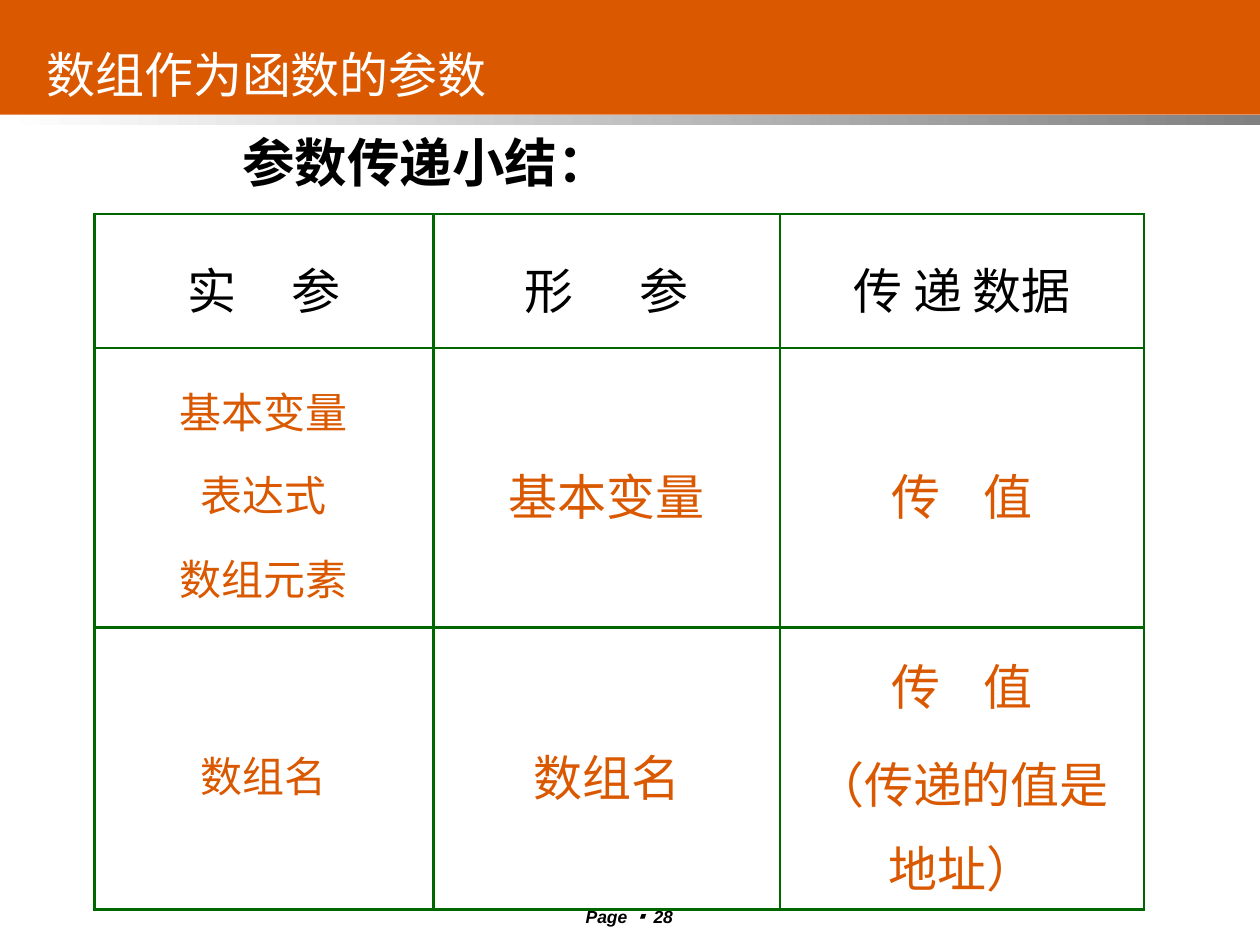
from lxml import etree
from pptx import Presentation
from pptx.dml.color import RGBColor
from pptx.enum import shapes, text
from pptx.oxml.ns import qn
from pptx.util import Inches, Pt

COLORS = {"orange": "DA5800", "gray": "808080", "white": "FFFFFF",
          "black": "000000", "green": "006600"}
CJK = "Noto Sans CJK JP"
SPACE = 0.224  # width of one space in the CJK font, in ems


def rgb(name):
    return RGBColor.from_string(COLORS[name])


def write(tf, lines, size=28, color="black", font=CJK, bold=False, italic=False,
          align=text.PP_ALIGN.CENTER, anchor=text.MSO_ANCHOR.MIDDLE,
          line=None, before=None, gap=1):
    """Fill a text frame; each line is a list of (text, font) runs or a string.

    In a string, every space is stretched to the width of `gap` spaces.
    """
    tf.word_wrap = True
    tf.vertical_anchor = anchor
    for i, content in enumerate(lines):
        p = tf.paragraphs[0] if i == 0 else tf.add_paragraph()
        p.alignment = align
        if line:
            p.line_spacing = line
        if before:
            p.space_before = Pt(before)
        if isinstance(content, str):
            parts = content.split(" ") if gap > 1 else [content]
            content = [(parts[0], font)]
            for part in parts[1:]:
                content += [(" ", font), (part, font)]
        for words, face in content:
            r = p.add_run()
            r.text = words
            f = r.font
            f.size, f.bold, f.italic, f.name = Pt(size), bold, italic, face
            f.color.rgb = rgb(color)
            rpr = r._r.get_or_add_rPr()
            if words == " ":
                rpr.set("spc", str(round((gap - 1) * SPACE * size * 100)))
            ea = etree.SubElement(rpr, qn("a:ea"))
            ea.set("typeface", CJK)


prs = Presentation()
prs.slide_width, prs.slide_height = Inches(10), Inches(7.5)
s = prs.slides.add_slide(prs.slide_layouts[6])

# Header band and the gradient strip under it
for top, height in ((0, 0.91), (0.91, 0.08)):
    sp = s.shapes.add_shape(shapes.MSO_SHAPE.RECTANGLE, 0, Inches(top),
                            Inches(10.04), Inches(height))
    sp.shadow.inherit = False
    sp.line.fill.background()
    if top == 0:
        sp.fill.solid()
        sp.fill.fore_color.rgb = rgb("orange")
    else:
        sp.fill.gradient()
        sp.fill.gradient_angle = 180
        for stop, name in zip(sp.fill.gradient_stops, ("gray", "white")):
            stop.color.rgb = rgb(name)

# Page number, subtitle and header text
page = [("Page ", "Arial"), ("▪ ", CJK), ("28", "Arial")]
boxes = [
    ((4.21, 7.14, 1.57, 0.22), page,
     dict(size=10, bold=True, italic=True, anchor=text.MSO_ANCHOR.TOP)),
    ((0.67, 0.91, 5.42, 0.75), "参数传递小结：",
     dict(size=30, bold=True, font="Courier New")),
    ((0.27, 0.21, 6.9, 0.75), "数组作为函数的参数",
     dict(color="white", align=text.PP_ALIGN.JUSTIFY)),
]
for box, content, style in boxes:
    tf = s.shapes.add_textbox(*map(Inches, box)).text_frame
    write(tf, [content], **style)

# Table of arguments, parameters and what is passed: (lines, gap in spaces)
rows = [
    [(["实 参"], 5), (["形 参"], 6), (["传 递 数据"], 1)],
    [(["基本变量", "表达式", "数组元素"], 1), (["基本变量"], 1), (["传 值"], 4)],
    [(["数组名"], 1), (["数组名"], 1), (["传 值", "（传递的值是地址）"], 4)],
]
frame = s.shapes.add_table(3, 3, Inches(0.75), Inches(1.7), Inches(8.33), Inches(5.52))
table = frame.table
table.first_row = table.horz_banding = False
for col, width in zip(table.columns, (2.69, 2.75, 2.89)):
    col.width = Inches(width)
for row, height in zip(table.rows, (1.06, 2.22, 2.24)):
    row.height = Inches(height)

for i, row in enumerate(rows):
    for j, (lines, gap) in enumerate(row):
        cell = table.cell(i, j)
        small = i > 0 and j == 0
        write(cell.text_frame, lines, size=24 if small else 28,
              color="orange" if i else "black", font="Courier New",
              line=1.2, before=6 if small else 7, gap=gap)
        cell.vertical_anchor = text.MSO_ANCHOR.MIDDLE
        tcpr = cell._tc.get_or_add_tcPr()
        for side in ("a:lnL", "a:lnR", "a:lnT", "a:lnB"):
            ln = etree.SubElement(tcpr, qn(side), w=str(Pt(1.47)))
            fill = etree.SubElement(ln, qn("a:solidFill"))
            etree.SubElement(fill, qn("a:srgbClr"), val=COLORS["green"])
        cell.fill.background()

prs.save("out.pptx")
